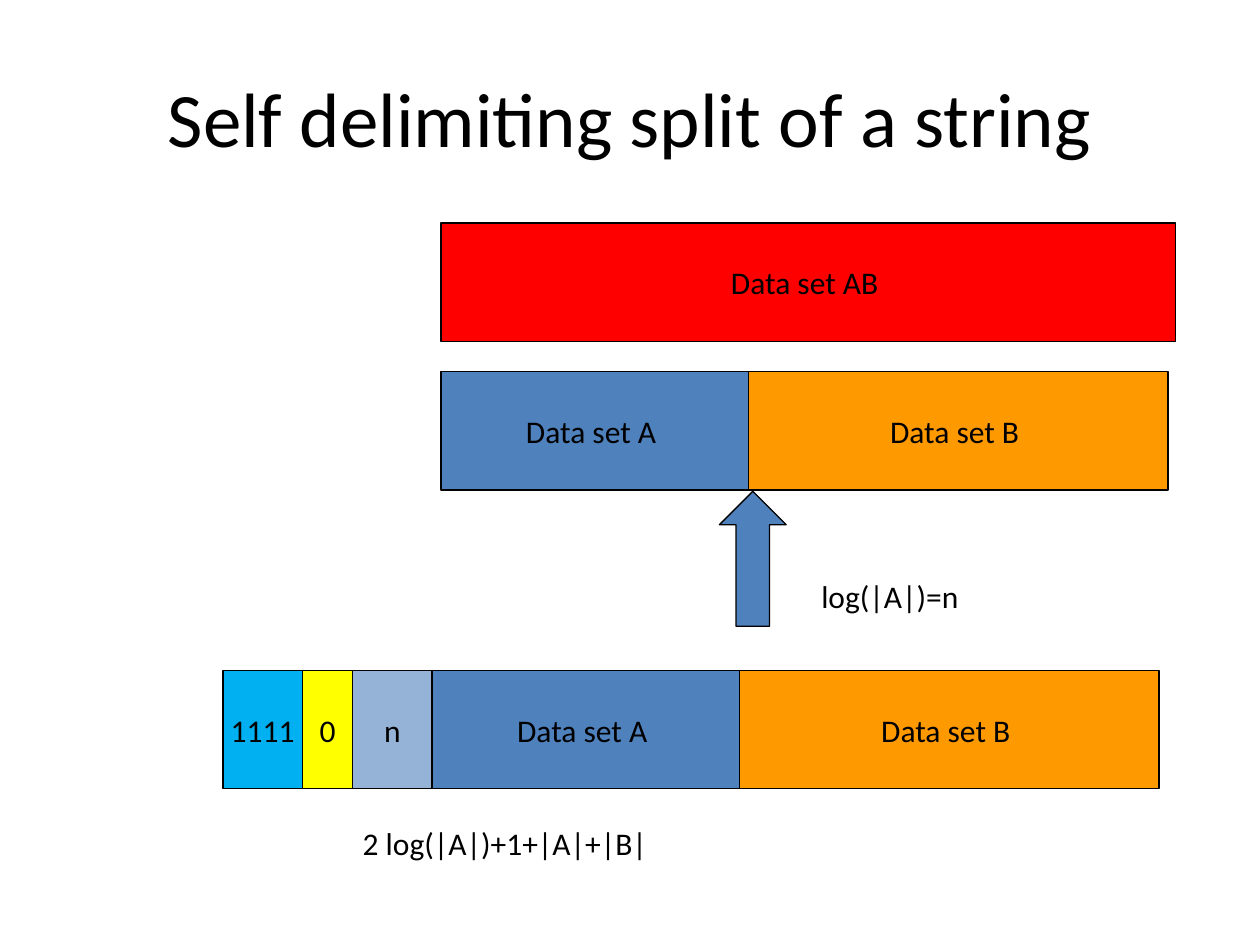
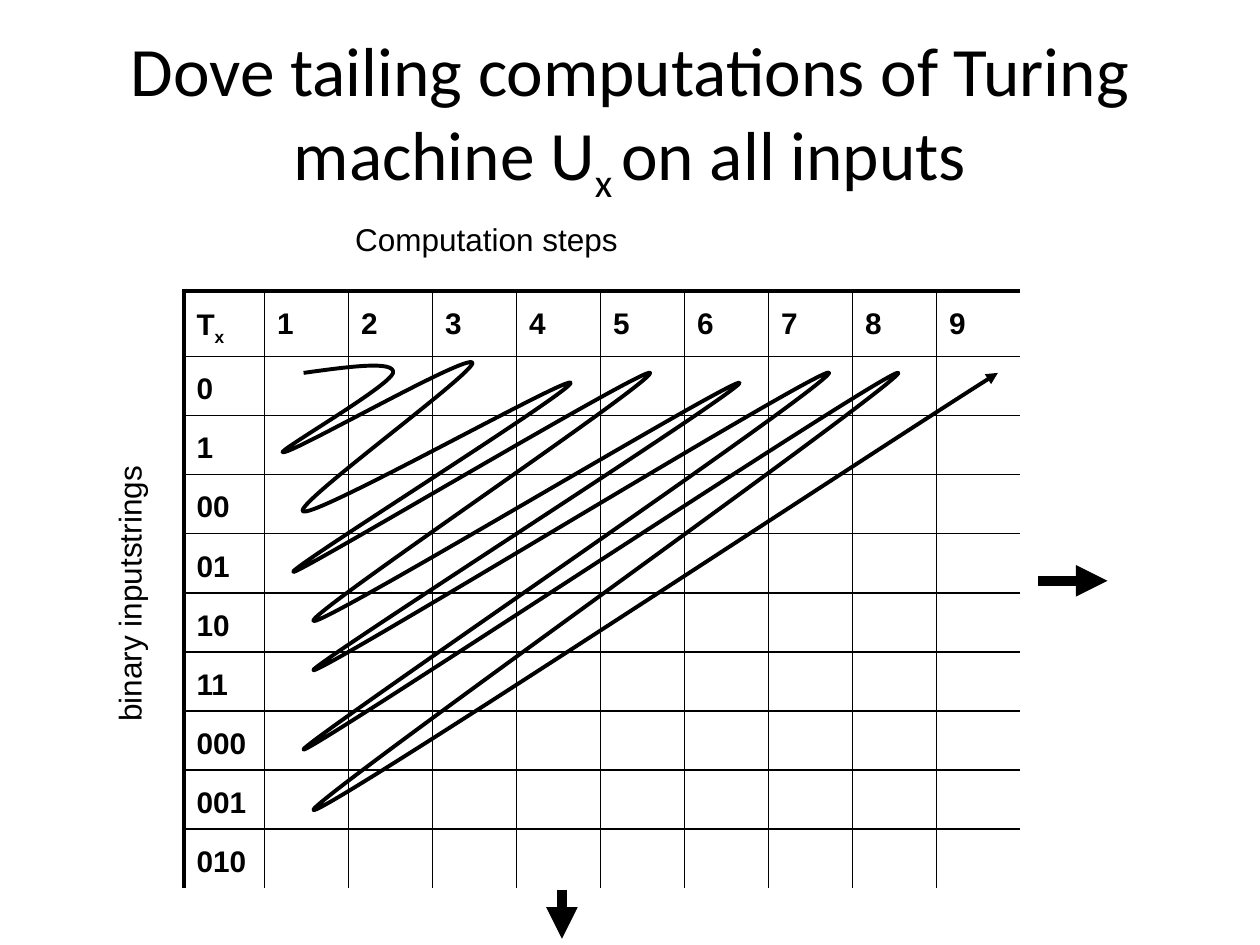
from dataclasses import dataclass

from lxml import etree
from pptx import Presentation
from pptx.dml.color import RGBColor
from pptx.enum.shapes import MSO_CONNECTOR, MSO_SHAPE
from pptx.enum.text import MSO_ANCHOR, MSO_AUTO_SIZE, PP_ALIGN
from pptx.oxml.ns import qn
from pptx.util import Inches, Pt

RECTANGLE, UP_ARROW = MSO_SHAPE.RECTANGLE, MSO_SHAPE.UP_ARROW
STRAIGHT = MSO_CONNECTOR.STRAIGHT
MIDDLE, CENTER = MSO_ANCHOR.MIDDLE, PP_ALIGN.CENTER
FIT_SHAPE = MSO_AUTO_SIZE.SHAPE_TO_FIT_TEXT


@dataclass(frozen=True)
class Theme:
    ink: str = "000000"
    joined: str = "FF0000"
    set_a: str = "4F81BD"
    set_b: str = "FF9900"
    length: str = "95B3D7"
    delimiter: str = "FFFF00"
    unary: str = "00B0F0"
    heading_font: str = "Calibri"
    grid_font: str = "Arial"
    title_size: float = 44
    long_title_size: float = 39.6
    body_size: float = 18
    grid_size: float = 17
    thin: float = 0.75
    rule: float = 1
    heavy: float = 2.25
    arrow: float = 6


THEME = Theme()

SET_A = ("Data set A ", 2.44, THEME.set_a)
SET_B = ("Data set B ", 3.33, THEME.set_b)
CODE_PREFIX = [
    ("1111", 0.63, THEME.unary),
    ("0", 0.4, THEME.delimiter),
    ("n", 0.63, THEME.length),
]

INPUT_STRINGS = ["0", "1", "00", "01", "10", "11", "000", "001", "010"]
STEP_COUNT = 9

# Each bend: two control points and the point it reaches.
DOVETAIL_START = (2.41, 2.96)
DOVETAIL_BENDS = [
    ((2.77, 2.91), (3.14, 2.86), (3.12, 2.96)),
    ((3.09, 3.07), (2.15, 3.61), (2.25, 3.59)),
    ((2.36, 3.58), (3.72, 2.8), (3.75, 2.88)),
    ((3.77, 2.96), (2.28, 4.04), (2.41, 4.06)),
    ((2.54, 4.09), (4.55, 2.96), (4.53, 3.04)),
    ((4.52, 3.12), (2.23, 4.55), (2.33, 4.54)),
    ((2.43, 4.52), (5.14, 2.9), (5.16, 2.96)),
    ((5.19, 3.03), (2.37, 4.92), (2.49, 4.93)),
    ((2.61, 4.94), (5.87, 2.97), (5.87, 3.04)),
    ((5.87, 3.11), (2.37, 5.34), (2.49, 5.32)),
    ((2.61, 5.31), (6.6, 2.86), (6.58, 2.96)),
    ((6.57, 3.07), (2.32, 5.95), (2.41, 5.95)),
    ((2.5, 5.95), (7.12, 2.88), (7.13, 2.96)),
    ((7.15, 3.04), (2.36, 6.43), (2.49, 6.43)),
    ((2.62, 6.43), (6.98, 3.55), (7.92, 2.96)),
]


def rgb(color):
    return RGBColor.from_string(color)


def inches(*values):
    return [Inches(value) for value in values]


def add_run(paragraph, text, size, font, bold=False, subscript=False):
    run = paragraph.add_run()
    run.text = text
    run.font.size = Pt(size)
    run.font.name = font
    run.font.bold = bold
    run.font.color.rgb = rgb(THEME.ink)
    if subscript:
        run._r.get_or_add_rPr().set("baseline", "-25000")


def set_line(line, width):
    line.color.rgb = rgb(THEME.ink)
    line.width = Pt(width)


def add_arrowhead(line):
    etree.SubElement(line._get_or_add_ln(), qn("a:tailEnd"), type="triangle")


def add_title(slide, runs, size):
    """Add the title from (text, subscript) pairs."""
    frame = slide.shapes.add_textbox(*inches(0.5, 0.3, 9, 1.25)).text_frame
    frame.word_wrap = True
    frame.vertical_anchor = MIDDLE
    paragraph = frame.paragraphs[0]
    paragraph.alignment = CENTER
    for text, subscript in runs:
        add_run(paragraph, text, size, THEME.heading_font, subscript=subscript)


def add_label(slide, text, left, top, width, font, rotation=0):
    label = slide.shapes.add_textbox(*inches(left, top, width, 0.4))
    label.rotation = rotation
    frame = label.text_frame
    frame.word_wrap = False
    frame.auto_size = FIT_SHAPE
    add_run(frame.paragraphs[0], text, THEME.body_size, font)


def add_block(slide, preset, left, top, width, height, fill):
    block = slide.shapes.add_shape(preset, *inches(left, top, width, height))
    block.shadow.inherit = False
    block.fill.solid()
    block.fill.fore_color.rgb = rgb(fill)
    set_line(block.line, THEME.thin)
    return block


def add_strip(slide, left, top, segments):
    """Lay (text, width, fill) segments side by side."""
    for text, width, fill in segments:
        segment = add_block(slide, RECTANGLE, left, top, width, 0.94, fill)
        frame = segment.text_frame
        frame.word_wrap = False
        frame.vertical_anchor = MIDDLE
        paragraph = frame.paragraphs[0]
        paragraph.alignment = CENTER
        add_run(paragraph, text, THEME.body_size, THEME.heading_font)
        left += width


def add_arrow(slide, *ends):
    arrow = slide.shapes.add_connector(STRAIGHT, *inches(*ends))
    set_line(arrow.line, THEME.arrow)
    add_arrowhead(arrow.line)
    etree.SubElement(arrow._element.spPr, qn("a:effectLst"))


def add_curve(slide, start, bends):
    """Draw an open line of cubic bends with an arrowhead at its end."""
    builder = slide.shapes.build_freeform(*inches(*start))
    points = [tuple(inches(*point)) for bend in bends for point in bend]
    builder.add_line_segments(points, close=False)
    curve = builder.convert_to_shape()
    steps = curve._element.xpath(".//a:lnTo")
    for first in range(0, len(steps), 3):
        bend = etree.Element(qn("a:cubicBezTo"))
        steps[first].addprevious(bend)
        for step in steps[first:first + 3]:
            bend.append(step[0])
            step.getparent().remove(step)
    curve.shadow.inherit = False
    curve.fill.background()
    set_line(curve.line, THEME.heavy)
    add_arrowhead(curve.line)


def set_borders(cell, widths):
    """Set left, right, top and bottom borders; a width of 0 means none."""
    properties = cell._tc.get_or_add_tcPr()
    for side, width in zip("LRTB", widths):
        border = etree.SubElement(properties, qn(f"a:ln{side}"), w=str(Pt(width)))
        if width:
            fill = etree.SubElement(border, qn("a:solidFill"))
            etree.SubElement(fill, qn("a:srgbClr"), val=THEME.ink)
        else:
            etree.SubElement(border, qn("a:noFill"))


def write_cell(cell, text, subscript=""):
    paragraph = cell.text_frame.paragraphs[0]
    paragraph.line_spacing = 1.3
    paragraph.space_before = Pt(0)
    spacing = paragraph._p.pPr.find(qn("a:spcBef"))
    spacing.remove(spacing[0])
    etree.SubElement(spacing, qn("a:spcPct"), val="40000")
    add_run(paragraph, text, THEME.grid_size, THEME.grid_font, bold=True)
    if subscript:
        add_run(paragraph, subscript, THEME.grid_size, THEME.grid_font,
                bold=True, subscript=True)


def add_computation_grid(slide):
    """Table of inputs by steps, left open on the right and at the bottom."""
    width, height, input_width = 6.64, 4.68, 0.64
    last_row, last_column = len(INPUT_STRINGS), STEP_COUNT
    grid = slide.shapes.add_table(last_row + 1, last_column + 1,
                                  *inches(1.46, 2.31, width, height)).table
    grid.first_row = grid.horz_banding = False
    for index, column in enumerate(grid.columns):
        step_width = (width - input_width) / STEP_COUNT
        column.width = Inches(step_width if index else input_width)
    for r, row in enumerate(grid.rows):
        row.height = Inches(height / (last_row + 1))
        for c, cell in enumerate(row.cells):
            set_borders(cell, (
                THEME.rule if c else THEME.heavy,
                THEME.rule if c < last_column else 0,
                THEME.rule if r else THEME.heavy,
                THEME.rule if r < last_row else 0,
            ))
            cell.fill.background()
    write_cell(grid.cell(0, 0), "T", "x")
    for step in range(1, STEP_COUNT + 1):
        write_cell(grid.cell(0, step), str(step))
    for r, bits in enumerate(INPUT_STRINGS, start=1):
        write_cell(grid.cell(r, 0), bits)


def build_split_slide(slide):
    add_title(slide, [("Self delimiting split of a string", False)],
              THEME.title_size)
    add_strip(slide, 3.5, 1.77, [("Data set AB ", 5.83, THEME.joined)])
    add_strip(slide, 3.5, 2.95, [SET_A, SET_B])
    add_block(slide, UP_ARROW, 5.71, 3.9, 0.53, 1.07, THEME.set_a)
    add_label(slide, "log(|A|)=n", 6.42, 4.53, 1.37, THEME.heading_font)
    add_strip(slide, 1.77, 5.32, CODE_PREFIX + [SET_A, SET_B])
    add_label(slide, "2 log(|A|)+1+|A|+|B|", 2.78, 6.49, 2.58,
              THEME.heading_font)


def build_dovetail_slide(slide):
    add_computation_grid(slide)
    add_arrow(slide, 8.24, 4.61, 8.79, 4.61)
    add_arrow(slide, 4.46, 7.06, 4.46, 7.45)
    add_label(slide, "binary inputstrings", -0.09, 4.51, 2.23,
              THEME.grid_font, rotation=270)
    add_title(slide, [
        ("Dove tailing computations of Turing machine U", False),
        ("x ", True),
        ("on all inputs", False),
    ], THEME.long_title_size)
    add_label(slide, "Computation steps", 2.72, 1.7, 2.35, THEME.grid_font)
    add_curve(slide, DOVETAIL_START, DOVETAIL_BENDS)


def main():
    deck = Presentation()
    deck.slide_width, deck.slide_height = inches(10, 7.5)
    blank = deck.slide_layouts[6]
    for build in (build_split_slide, build_dovetail_slide):
        build(deck.slides.add_slide(blank))
    deck.save("out.pptx")


if __name__ == "__main__":
    main()
